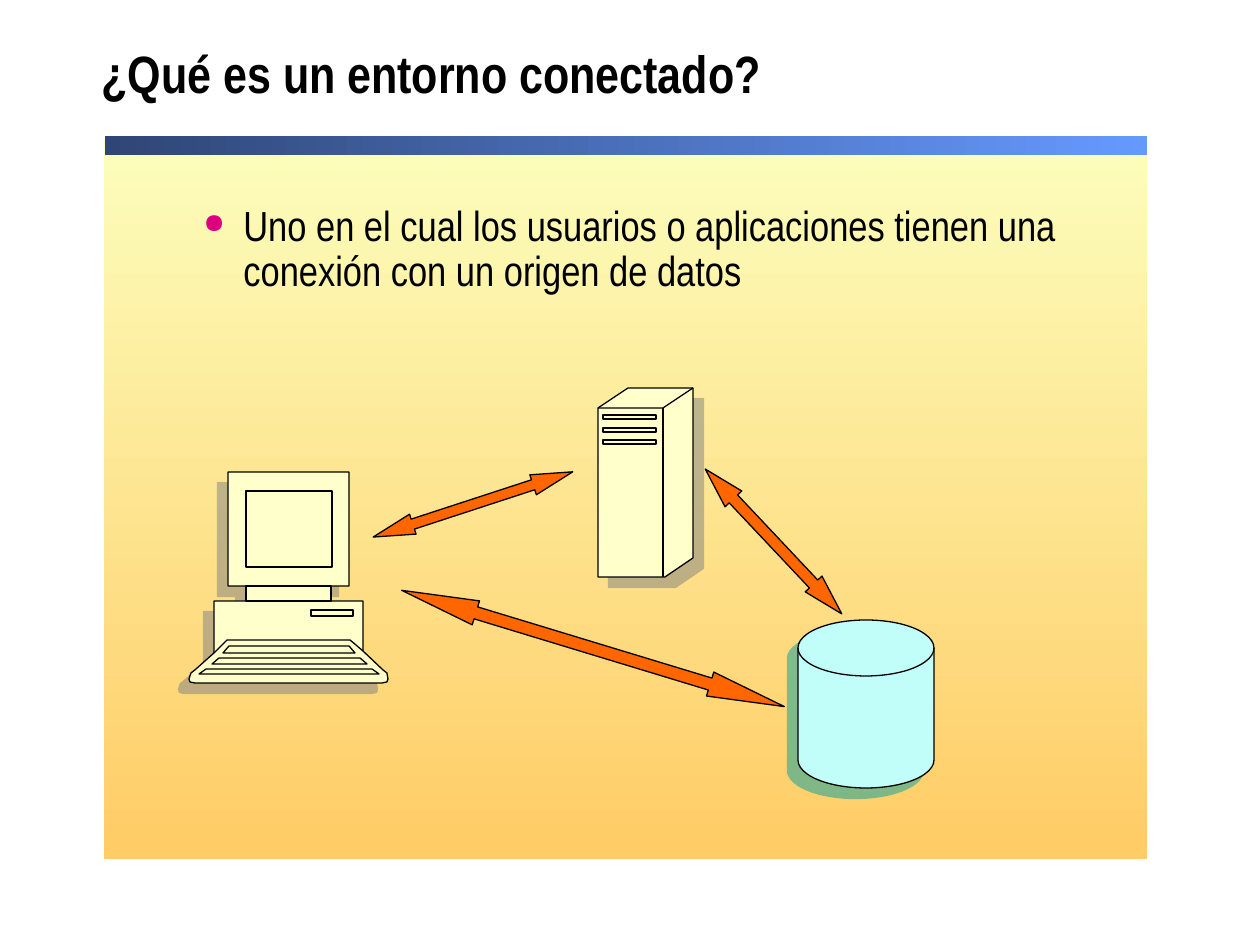
from lxml.etree import SubElement
from pptx import Presentation
from pptx.dml.color import RGBColor
from pptx.enum.shapes import MSO_SHAPE
from pptx.enum.text import MSO_ANCHOR
from pptx.oxml.ns import qn
from pptx.util import Pt

PX = 914400 / 126
BLACK = RGBColor(0x00, 0x00, 0x00)
CREAM = RGBColor(0xFF, 0xFF, 0xCC)
AQUA = RGBColor(0xC1, 0xFE, 0xF9)
ORANGE = RGBColor(0xFF, 0x66, 0x00)
GREY = RGBColor(0x80, 0x80, 0x80)
TEAL = RGBColor(0x00, 0x9E, 0xA1)
MAGENTA = RGBColor(0xDC, 0x00, 0x81)
PALE_YELLOW = RGBColor(0xFC, 0xFE, 0xBC)
AMBER = RGBColor(0xFF, 0xCC, 0x66)
NAVY = RGBColor(0x2F, 0x46, 0x75)
SKY = RGBColor(0x66, 0x99, 0xFF)

TITLE = "¿Qué es un entorno conectado?"
BODY = "Uno en el cual los usuarios o aplicaciones tienen una conexión con un origen de datos"

PANELS = [
    ((104, 139, 1043, 720), 270, (PALE_YELLOW, AMBER)),
    ((105, 136, 1042, 19), 0, (NAVY, SKY)),
]
ARROWS = [
    ((368, 494, 210, 21), 341.9, 1.988),
    ((674, 530, 199, 23), 46.7, 1.783),
    ((393, 636, 400, 25), 16.9, 3.103),
]
DISK = (798, 620, 136, 168)


def rectangle(left, top, right, bottom):
    return [(left, top), (right, top), (right, bottom), (left, bottom), (left, top)]


def key_row(top, bottom, left, right, slant):
    return [(right, bottom), (right - slant, top), (left + slant, top),
            (left, bottom), (right, bottom)]


COMPUTER = [
    (383, 670), (363, 651), (363, 601), (331, 601), (331, 586), (349, 586),
    (349, 472), (228, 472), (228, 586), (246, 586), (246, 601), (214, 601),
    (214, 653), (195, 670), (191, 673), (189, 679), (190, 682), (195, 683),
    (382, 683), (387, 682), (388, 679), (387, 673), (383, 670),
]
COMPUTER_DETAILS = [
    key_row(646, 653, 223, 355, 6),
    key_row(658, 664, 212, 367, 7),
    key_row(669, 674, 199, 379, 7),
    [(363, 651), (350, 640), (227, 640), (214, 653)],
    rectangle(311, 610, 353, 616),
    rectangle(246, 491, 332, 567),
    rectangle(246, 586, 331, 601),
]
SERVER = [(598, 408), (628, 388), (693, 388), (693, 558), (665, 577),
          (598, 577), (598, 408)]
SERVER_DETAILS = [
    [(598, 408), (663, 408), (693, 388)],
    [(663, 408), (663, 577)],
] + [rectangle(603, top, 656, top + 4) for top in (415, 428, 440)]


def emu(lengths):
    return [round(length * PX) for length in lengths]


def apply(target, values):
    for name, value in values.items():
        setattr(target, name, value)


def finish(shape, color=None, shadow=None):
    shape.shadow.inherit = False
    if color is None:
        shape.fill.background()
    else:
        shape.fill.solid()
        shape.fill.fore_color.rgb = color
    shape.line.color.rgb = BLACK
    shape.line.width = Pt(0.75)
    if shadow:
        shadow_color, angle = shadow
        effects = shape.element.spPr.find(qn("a:effectLst"))
        outer = SubElement(effects, qn("a:outerShdw"), dist=str(Pt(8.5)),
                           dir=str(angle * 60000), algn="ctr", rotWithShape="0")
        tone = SubElement(outer, qn("a:srgbClr"), val=str(shadow_color))
        SubElement(tone, qn("a:alpha"), val="50000")


def add_outline(page, contours, color=None, shadow=None):
    builder = page.shapes.build_freeform(*contours[0][0], scale=PX)
    for number, contour in enumerate(contours):
        if number:
            builder.move_to(*contour[0])
        builder.add_line_segments(contour[1:], close=contour[0] == contour[-1])
    finish(builder.convert_to_shape(), color, shadow)


def add_text(page, place, text, frame_format, para_format, font_format):
    frame = page.shapes.add_textbox(*emu(place)).text_frame
    apply(frame, {"word_wrap": True, **frame_format})
    para = frame.paragraphs[0]
    apply(para, para_format)
    span = para.add_run()
    span.text = text
    apply(span.font, {"name": "Arial Narrow", **font_format})
    span.font.color.rgb = BLACK
    return para


def add_bullet(para):
    properties = para._p.get_or_add_pPr()
    margin, indent = emu((96, -40))
    properties.set("marL", str(margin))
    properties.set("indent", str(indent))
    color = SubElement(properties, qn("a:buClr"))
    SubElement(color, qn("a:srgbClr"), val=str(MAGENTA))
    SubElement(properties, qn("a:buSzPct"), val="65000")
    SubElement(properties, qn("a:buChar"), char="●")


def main():
    deck = Presentation()
    apply(deck, dict(zip(("slide_width", "slide_height"), emu((1260, 945)))))
    page = deck.slides.add_slide(deck.slide_layouts[6])

    for place, angle, colors in PANELS:
        panel = page.shapes.add_shape(MSO_SHAPE.RECTANGLE, *emu(place))
        panel.shadow.inherit = False
        panel.line.fill.background()
        panel.fill.gradient()
        panel.fill.gradient_angle = angle
        for stop, color in zip(panel.fill.gradient_stops, colors):
            stop.color.rgb = color

    add_text(page, (89, 20, 1129, 116), TITLE,
             {"vertical_anchor": MSO_ANCHOR.MIDDLE}, {"line_spacing": 0.8},
             {"size": Pt(30), "bold": True})
    add_bullet(add_text(page, (135, 199, 979, 627), BODY, {},
                        {"line_spacing": 0.9, "space_before": Pt(18)},
                        {"size": Pt(24)}))

    for outline, details, angle in ((COMPUTER, COMPUTER_DETAILS, 135),
                                    (SERVER, SERVER_DETAILS, 45)):
        add_outline(page, [outline], CREAM, (GREY, angle))
        add_outline(page, details)

    disk = page.shapes.add_shape(MSO_SHAPE.FLOWCHART_MAGNETIC_DISK, *emu(DISK))
    finish(disk, AQUA, (TEAL, 135))

    for place, rotation, head in ARROWS:
        arrow = page.shapes.add_shape(MSO_SHAPE.LEFT_RIGHT_ARROW, *emu(place))
        arrow.rotation = rotation
        arrow.adjustments[0] = 0.5
        arrow.adjustments[1] = head
        finish(arrow, ORANGE)

    deck.save("out.pptx")


if __name__ == "__main__":
    main()
